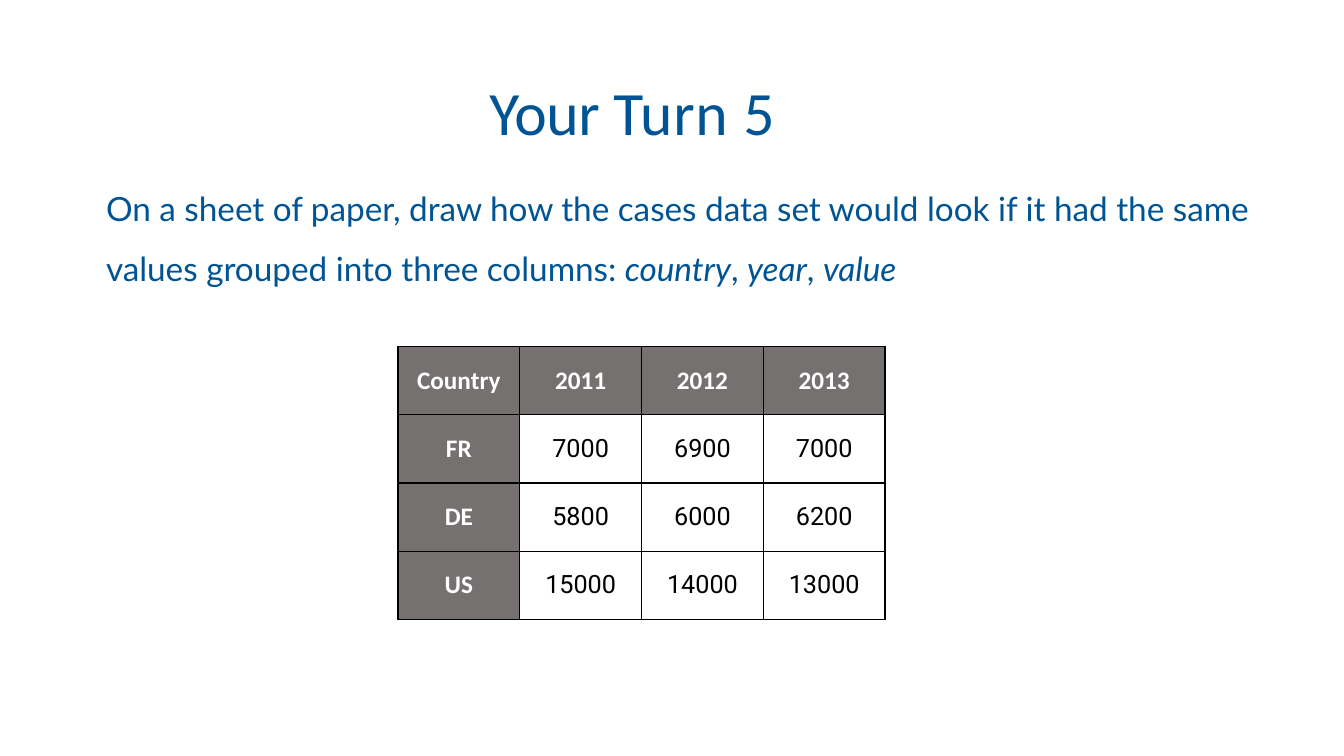
from lxml import etree
from pptx import Presentation
from pptx.dml.color import RGBColor
from pptx.enum.text import MSO_ANCHOR, PP_ALIGN
from pptx.oxml.ns import qn
from pptx.util import Pt

PX = 9525  # EMU per px, 96 px to the inch
MIDDLE, TOP = MSO_ANCHOR.MIDDLE, MSO_ANCHOR.TOP
LEFT, CENTER = PP_ALIGN.LEFT, PP_ALIGN.CENTER
BLUE, GREY, WHITE, BLACK = "005493", "767171", "FFFFFF", "000000"


def style(run, font, size, color, **flags):
    values = {"name": font, "size": Pt(size), **flags}
    for key, value in values.items():
        setattr(run.font, key, value)
    run.font.color.rgb = RGBColor.from_string(color)


def place(shape, left, top, width, height):
    box = {"left": left, "top": top, "width": width, "height": height}
    for key, value in box.items():
        setattr(shape, key, value * PX)


prs = Presentation()
prs.slide_width, prs.slide_height = 1280 * PX, 720 * PX
slide = prs.slides.add_slide(prs.slide_layouts[5])

# Title
title = slide.shapes.title
place(title, 466, 69, 348, 72)
frame = title.text_frame
frame_format = {"margin_left": 0, "margin_right": 0, "margin_top": PX,
                "margin_bottom": 0, "vertical_anchor": MIDDLE, "word_wrap": True}
for key, value in frame_format.items():
    setattr(frame, key, value)
heading = frame.paragraphs[0]
heading.alignment = LEFT
for text, spacing in [("Your ", -30), ("Turn ", 50), ("5", -50)]:
    run = heading.add_run()
    run.text = text
    style(run, "Calibri", 44, BLUE)
    run.font._element.set("spc", str(spacing))

# Instructions
instructions = slide.shapes.add_textbox(0, 0, PX, PX)
place(instructions, 93, 152, 1169, 135)
frame = instructions.text_frame
frame.word_wrap = True
frame.vertical_anchor = TOP
for side in ("left", "right", "top", "bottom"):
    setattr(frame, f"margin_{side}", 8 * PX)
task = frame.paragraphs[0]
task.alignment = LEFT
task.line_spacing = 1.5
parts = [
    ("On a sheet of paper, draw how the cases data set would look if it had "
     "the same values grouped into three columns: ", False),
    ("country", True), (", ", False), ("year", True), (", ", False), ("value", True),
]
for text, italic in parts:
    run = task.add_run()
    run.text = text
    style(run, "Lato", 23.8, BLUE, italic=italic)

# Cases table
cases = [
    ["Country", "2011", "2012", "2013"],
    ["FR", "7000", "6900", "7000"],
    ["DE", "5800", "6000", "6200"],
    ["US", "15000", "14000", "13000"],
]
COL, ROW = 116, 65
last = len(cases[0]) - 1
table = slide.shapes.add_table(
    len(cases), last + 1, 379 * PX, 330 * PX,
    COL * (last + 1) * PX, ROW * len(cases) * PX).table
for column in table.columns:
    column.width = COL * PX
for r, values in enumerate(cases):
    table.rows[r].height = ROW * PX
    for c, value in enumerate(values):
        cell = table.cell(r, c)
        cell.vertical_anchor = MIDDLE
        for side in ("left", "right", "top", "bottom"):
            setattr(cell, f"margin_{side}", 3 * PX)

        # Borders, heavier on the outer left and right
        tc_pr = cell._tc.get_or_add_tcPr()
        for edge in ("lnL", "lnR", "lnT", "lnB"):
            outer = (edge, c) in (("lnL", 0), ("lnR", last))
            line = etree.SubElement(tc_pr, qn(f"a:{edge}"),
                                    w=str(Pt(1.5 if outer else 1)))
            fill = etree.SubElement(line, qn("a:solidFill"))
            etree.SubElement(fill, qn("a:srgbClr"), val=BLACK)

        header = r == 0 or c == 0
        if header:
            cell.fill.solid()
            cell.fill.fore_color.rgb = RGBColor.from_string(GREY)
        else:
            cell.fill.background()
        paragraph = cell.text_frame.paragraphs[0]
        paragraph.alignment = CENTER
        run = paragraph.add_run()
        run.text = value
        style(run, "Calibri" if header else "Roboto", 18,
              WHITE if header else BLACK, bold=header)

prs.save("out.pptx")
